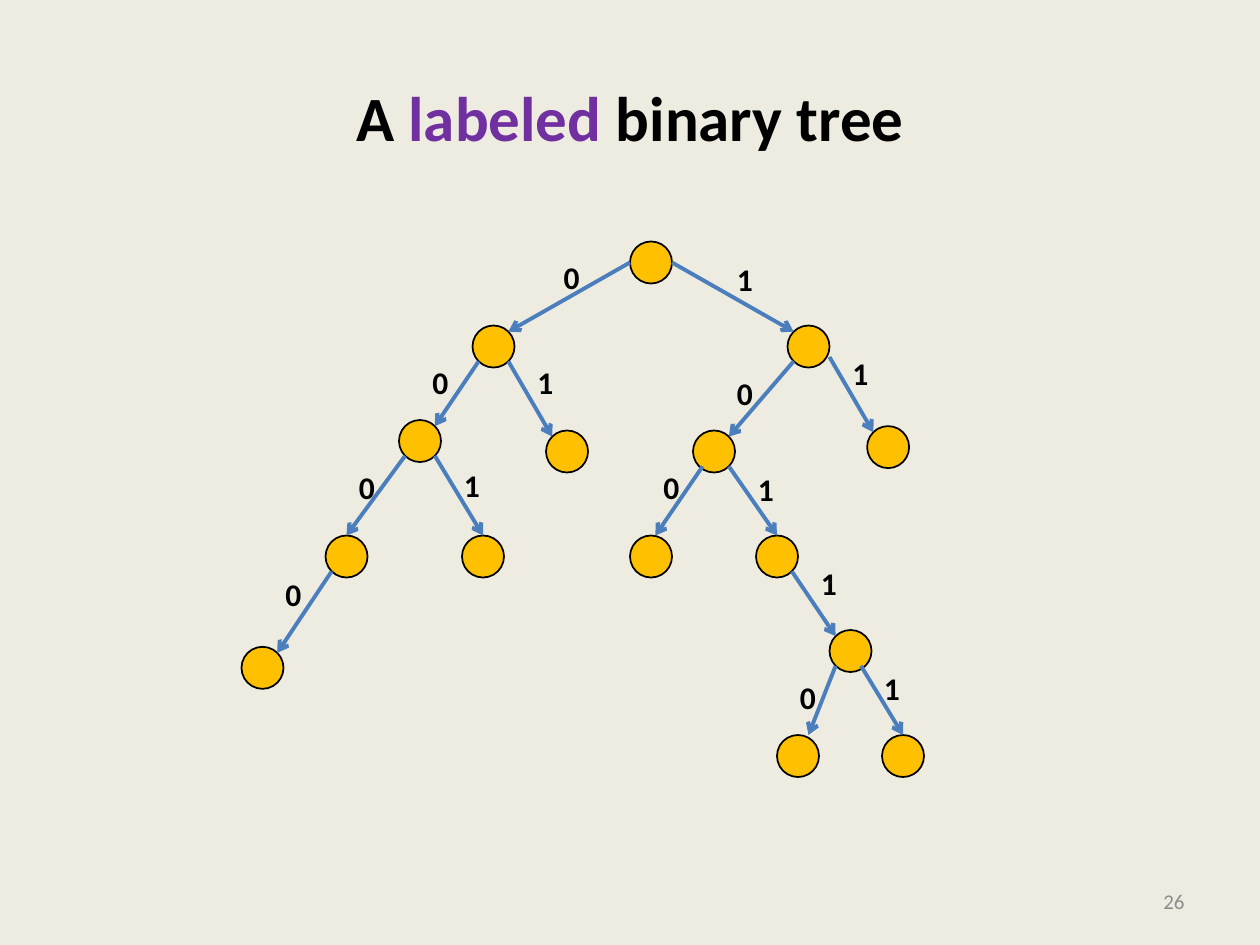
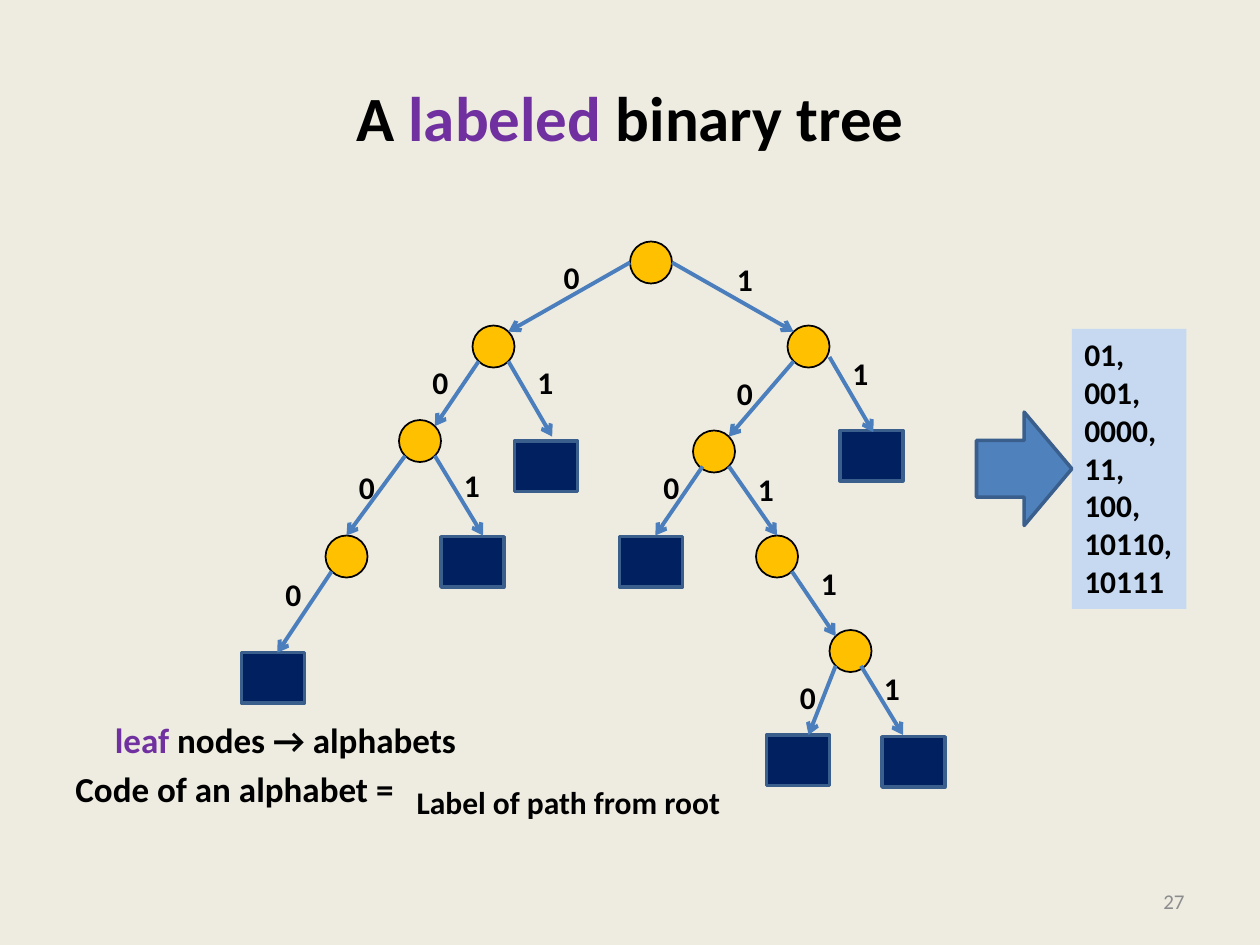
from dataclasses import dataclass
from typing import NamedTuple, Optional

from lxml.etree import SubElement
from pptx import Presentation
from pptx.dml.color import RGBColor
from pptx.enum.shapes import MSO_CONNECTOR, MSO_SHAPE
from pptx.enum.text import MSO_ANCHOR, PP_ALIGN
from pptx.oxml.ns import qn
from pptx.shapes.autoshape import Shape
from pptx.slide import Slide
from pptx.text.text import _Paragraph as Paragraph
from pptx.util import Pt

COLORS = {
    "background": "EEECE1",
    "text": "000000",
    "accent": "7030A0",
    "page_number": "8C8C8C",
    "edge": "4B7EBC",
    "node": "FFC000",
    "leaf": "002060",
    "border": "3A5F8C",
    "arrow": "4F81BD",
    "codes": "C6D9F1",
}
FONT = "Calibri"
NODE_SIZE = 24
LEAF_WIDTH, LEAF_HEIGHT = 36, 28.8
LABEL_HEIGHT = 29


class Point(NamedTuple):
    x: float
    y: float


class Area(NamedTuple):
    left: float
    top: float
    width: float
    height: float


class Span(NamedTuple):
    text: str
    color: str = "text"


@dataclass(frozen=True)
class Node:
    code: str
    corner: Point
    leaf_corner: Optional[Point] = None


@dataclass(frozen=True)
class Edge:
    start: Point
    end: Point
    label: str
    label_corner: Point


NODES = [
    Node("", Point(360, 138)),
    Node("0", Point(270, 186)),
    Node("1", Point(450, 186)),
    Node("00", Point(228, 240)),
    Node("01", Point(312, 246), Point(294, 252)),
    Node("10", Point(396, 246)),
    Node("11", Point(495.5, 243.5), Point(480, 246)),
    Node("000", Point(186, 306)),
    Node("001", Point(264, 306), Point(252, 306.7)),
    Node("100", Point(360, 306), Point(354, 306.7)),
    Node("101", Point(432, 306)),
    Node("0000", Point(138, 369.6), Point(138, 373)),
    Node("1011", Point(474, 360)),
    Node("10110", Point(444, 420), Point(438, 420)),
    Node("10111", Point(504, 420), Point(504, 421)),
]
EDGES = [
    Edge(Point(360, 150), Point(290.5, 189.5), "0", Point(315, 144)),
    Edge(Point(384, 150), Point(453.5, 189.5), "1", Point(414, 145)),
    Edge(Point(273.5, 206.5), Point(248.5, 243.5), "0", Point(240, 204)),
    Edge(Point(290.5, 206.5), Point(315.5, 249.5), "1", Point(300, 204)),
    Edge(Point(453.5, 206.5), Point(416.5, 249.5), "0", Point(414, 210)),
    Edge(Point(474, 204), Point(499, 247), "1", Point(480, 199)),
    Edge(Point(231.5, 260.5), Point(198, 306), "0", Point(198, 264)),
    Edge(Point(248.5, 260.5), Point(276, 306), "1", Point(258, 263)),
    Edge(Point(401.5, 266.5), Point(374.5, 306), "0", Point(372, 264)),
    Edge(Point(416.5, 266.5), Point(444, 306), "1", Point(426, 265)),
    Edge(Point(189.5, 326.5), Point(158.5, 373), "0", Point(156, 325)),
    Edge(Point(452.5, 326.5), Point(477.5, 363.5), "1", Point(462, 319)),
    Edge(Point(477.5, 380.5), Point(462, 420), "0", Point(450, 384)),
    Edge(Point(492, 380.5), Point(516, 420), "1", Point(498, 379)),
]
LEAF_CODES = ["01", "001", "0000", "11", "100", "10110", "10111"]


def rgb(name: str) -> RGBColor:
    return RGBColor.from_string(COLORS[name])


def fill_paragraph(para: Paragraph, spans: list[Span], size: float, bold: bool) -> None:
    for span in spans:
        run = para.add_run()
        run.text = span.text
        run.font.name = FONT
        run.font.size = Pt(size)
        run.font.bold = bold
        run.font.color.rgb = rgb(span.color)


def add_text(page: Slide, area: Area, lines: list[list[Span]], size: float,
             bold: bool = True, wrap: bool = False,
             align: PP_ALIGN = PP_ALIGN.LEFT,
             anchor: MSO_ANCHOR = MSO_ANCHOR.TOP,
             fill: Optional[str] = None) -> Shape:
    box = page.shapes.add_textbox(*map(Pt, area))
    if fill:
        box.fill.solid()
        box.fill.fore_color.rgb = rgb(fill)
    frame = box.text_frame
    frame.word_wrap = wrap
    frame.vertical_anchor = anchor
    for index, spans in enumerate(lines):
        para = frame.add_paragraph() if index else frame.paragraphs[0]
        para.alignment = align
        fill_paragraph(para, spans, size, bold)
    return box


def add_block(page: Slide, kind: MSO_SHAPE, area: Area, fill: str,
              line: str, line_width: float) -> None:
    block = page.shapes.add_shape(kind, *map(Pt, area))
    block.shadow.inherit = False
    block.fill.solid()
    block.fill.fore_color.rgb = rgb(fill)
    block.line.color.rgb = rgb(line)
    block.line.width = Pt(line_width)


def add_edge(page: Slide, edge: Edge) -> None:
    connector = page.shapes.add_connector(
        MSO_CONNECTOR.STRAIGHT, *map(Pt, edge.start + edge.end))
    connector.line.color.rgb = rgb("edge")
    connector.line.width = Pt(2.25)
    properties = connector._element.spPr
    SubElement(properties.find(qn("a:ln")), qn("a:tailEnd"), type="arrow")
    SubElement(properties, qn("a:effectLst"))


def add_tree(page: Slide, mark_leaves: bool) -> None:
    for node in NODES:
        if mark_leaves and node.leaf_corner:
            add_block(page, MSO_SHAPE.RECTANGLE,
                      Area(*node.leaf_corner, LEAF_WIDTH, LEAF_HEIGHT),
                      "leaf", "border", 2)
        else:
            add_block(page, MSO_SHAPE.OVAL,
                      Area(*node.corner, NODE_SIZE, NODE_SIZE), "node", "text", 1)
    for edge in EDGES:
        add_edge(page, edge)
        add_text(page, Area(*edge.label_corner, NODE_SIZE, LABEL_HEIGHT),
                 [[Span(edge.label)]], 18)


def add_page(deck: Presentation, number: int, mark_leaves: bool) -> Slide:
    page = deck.slides.add_slide(deck.slide_layouts[6])
    page.background.fill.solid()
    page.background.fill.fore_color.rgb = rgb("background")
    title = [Span("A "), Span("labeled", "accent"), Span(" binary tree")]
    add_text(page, Area(36, 21.6, 648, 90), [title], 36, wrap=True,
             align=PP_ALIGN.CENTER, anchor=MSO_ANCHOR.MIDDLE)
    add_text(page, Area(516, 500.5, 168, 28.75),
             [[Span(str(number), "page_number")]], 12, bold=False, wrap=True,
             align=PP_ALIGN.RIGHT, anchor=MSO_ANCHOR.MIDDLE)
    add_tree(page, mark_leaves)
    return page


def add_code_notes(page: Slide) -> None:
    leaf_line = [Span("leaf", "accent"), Span(" nodes → alphabets")]
    notes = add_text(page, Area(36, 407, 250, 62),
                     [leaf_line, [Span("Code of an alphabet =")]], 20, wrap=True)
    first, second = notes.text_frame.paragraphs
    first._p.get_or_add_pPr().set("marL", str(Pt(22.5)))
    second.space_before = Pt(4)
    add_text(page, Area(231, 444, 194, LABEL_HEIGHT),
             [[Span("Label of path from root")]], 18, fill="background")
    last = len(LEAF_CODES) - 1
    code_lines = [[Span(code if index == last else f"{code},")]
                  for index, code in enumerate(LEAF_CODES)]
    add_text(page, Area(612.5, 188, 65.5, 160), code_lines, 18, fill="codes")
    add_block(page, MSO_SHAPE.RIGHT_ARROW, Area(558, 235.5, 54.5, 64.8),
              "arrow", "border", 2)


def main() -> None:
    deck = Presentation()
    deck.slide_width, deck.slide_height = Pt(720), Pt(540)
    add_page(deck, 26, mark_leaves=False)
    add_code_notes(add_page(deck, 27, mark_leaves=True))
    deck.save("out.pptx")


if __name__ == "__main__":
    main()
